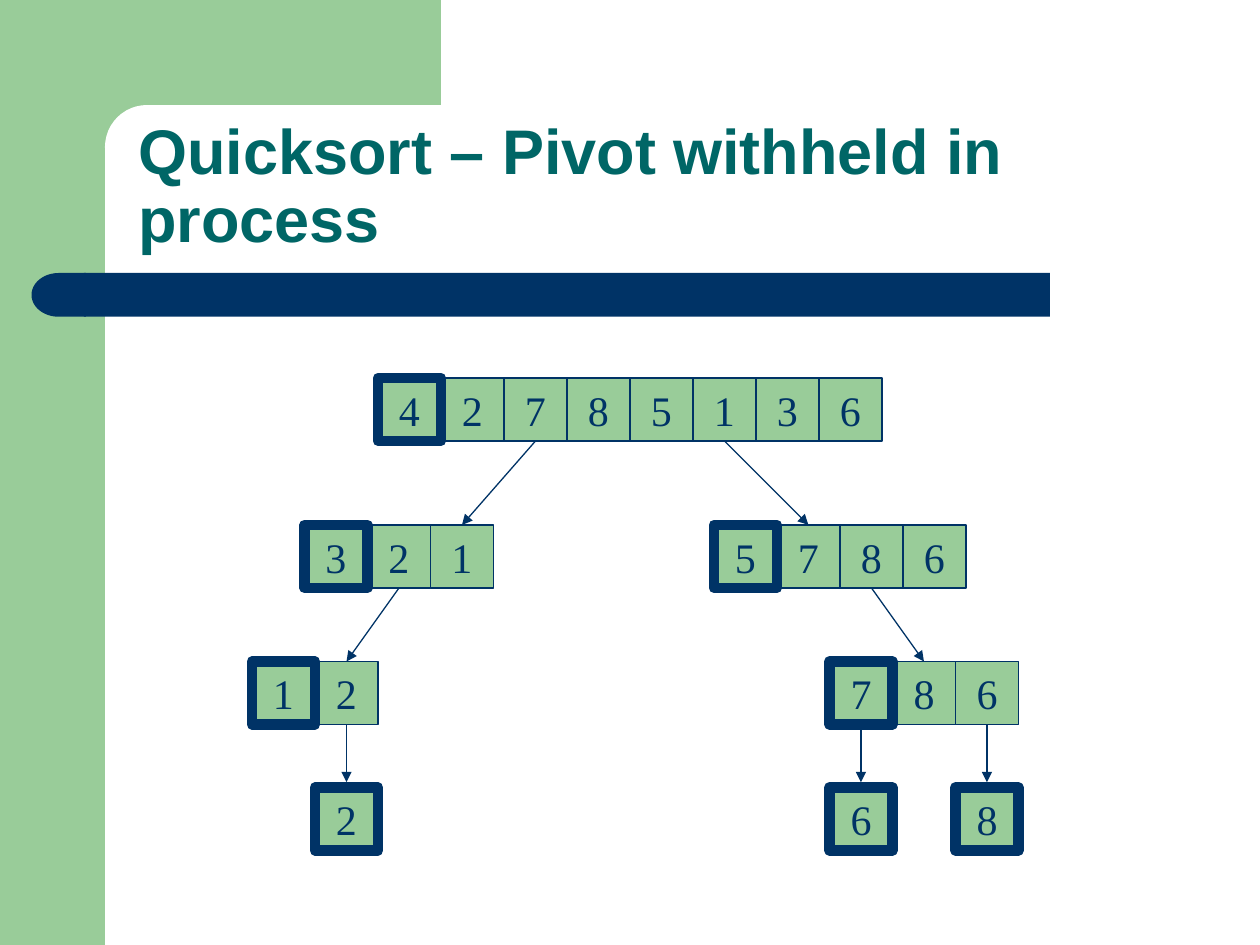
from pptx import Presentation
from pptx.dml.color import RGBColor
from pptx.enum.shapes import MSO_CONNECTOR as Line, MSO_SHAPE as Form
from pptx.enum.text import MSO_ANCHOR as Anchor, PP_ALIGN as Align
from pptx.oxml import parse_xml
from pptx.oxml.ns import nsdecls
from pptx.util import Pt

COLORS = {"green": "99CC99", "navy": "003366", "teal": "006666", "white": "FFFFFF"}
SIDE = 36
THIN, THICK = 0.75, 6
TOP, BOTTOM = 0, 2

# name: (left, top, values); the first value is the pivot
LISTS = {
    "root": (216, 216, "42785136"),
    "low": (174, 300, "321"),
    "high": (408, 300, "5786"),
    "low2": (144, 378, "12"),
    "high2": (474, 378, "786"),
    "two": (180, 450, "2"),
    "six": (474, 450, "6"),
    "eight": (546, 450, "8"),
}

# (list, cell) to (list, cell)
LINKS = [
    (("root", 2), ("low", 2)),
    (("root", 5), ("high", 1)),
    (("low", 1), ("low2", 1)),
    (("high", 2), ("high2", 1)),
    (("low2", 1), ("two", 0)),
    (("high2", 0), ("six", 0)),
    (("high2", 2), ("eight", 0)),
]


def color(name):
    return RGBColor.from_string(COLORS[name])


def write(shape, text, font, size, hue, bold=False, align=Align.LEFT,
          anchor=Anchor.MIDDLE, wrap=False, space=1.0):
    frame = shape.text_frame
    frame.word_wrap = wrap
    frame.vertical_anchor = anchor
    para = frame.paragraphs[0]
    para.alignment = align
    para.line_spacing = space
    run = para.add_run()
    run.text = text
    run.font.name = font
    run.font.size = Pt(size)
    run.font.bold = bold
    run.font.color.rgb = color(hue)


def add_block(slide, form, left, top, width, height, fill):
    """Add a filled preset shape without outline or shadow."""
    shape = slide.shapes.add_shape(form, Pt(left), Pt(top), Pt(width), Pt(height))
    shape.shadow.inherit = False
    shape.fill.solid()
    shape.fill.fore_color.rgb = color(fill)
    shape.line.fill.background()
    return shape


def add_cell(slide, left, top, value, weight):
    cell = add_block(slide, Form.RECTANGLE, left, top, SIDE, SIDE, "green")
    cell.line.color.rgb = color("navy")
    cell.line.width = Pt(weight)
    write(cell, value, "Times New Roman", 24, "navy", align=Align.CENTER)
    return cell


def add_list(slide, left, top, values):
    """Draw a row of cells, the pivot last so that its border lies on top."""
    cells = {}
    for i in reversed(range(len(values))):
        weight = THIN if i else THICK
        cells[i] = add_cell(slide, left + i * SIDE, top, values[i], weight)
    return cells


def add_arrow(slide, start, end):
    """Link two cells; at a pivot the arrow stops at the border's outer edge."""
    edge = Pt(THICK / 2)
    arrow = slide.shapes.add_connector(
        Line.STRAIGHT,
        start.left + start.width // 2, start.top + start.height + edge,
        end.left + end.width // 2, end.top - edge)
    if start.line.width == Pt(THIN):
        arrow.begin_connect(start, BOTTOM)
    if end.line.width == Pt(THIN):
        arrow.end_connect(end, TOP)
    arrow.line.color.rgb = color("navy")
    arrow.line.width = Pt(THIN)
    arrow.line._get_or_add_ln().append(
        parse_xml(f'<a:tailEnd {nsdecls("a")} type="triangle"/>'))
    arrow._element.spPr.append(parse_xml(f'<a:effectLst {nsdecls("a")}/>'))


def add_frame(slide):
    add_block(slide, Form.RECTANGLE, 0, 0, 60, 540, "green")
    add_block(slide, Form.RECTANGLE, 54, 0, 198, 84, "green")
    panel = add_block(slide, Form.ROUNDED_RECTANGLE, 60, 60, 402, 48, "white")
    panel.adjustments[0] = 0.5
    add_block(slide, Form.RECTANGLE, 48, 156, 552, 25, "navy")
    cap = add_block(slide, Form.FLOWCHART_DELAY, 18, 156, 31, 25, "navy")
    cap.rotation = 180


def add_title(slide, text):
    box = slide.shapes.add_textbox(Pt(72), Pt(60), Pt(630), Pt(90))
    write(box, text, "Arial", 36, "teal", bold=True, anchor=Anchor.BOTTOM,
          wrap=True, space=0.9)


def main():
    deck = Presentation()
    deck.slide_width, deck.slide_height = Pt(720), Pt(540)
    slide = deck.slides.add_slide(deck.slide_layouts[6])
    add_frame(slide)
    lists = {name: add_list(slide, *row) for name, row in LISTS.items()}
    for (source, i), (target, j) in LINKS:
        add_arrow(slide, lists[source][i], lists[target][j])
    add_title(slide, "Quicksort – Pivot withheld in process")
    deck.save("out.pptx")


if __name__ == "__main__":
    main()
